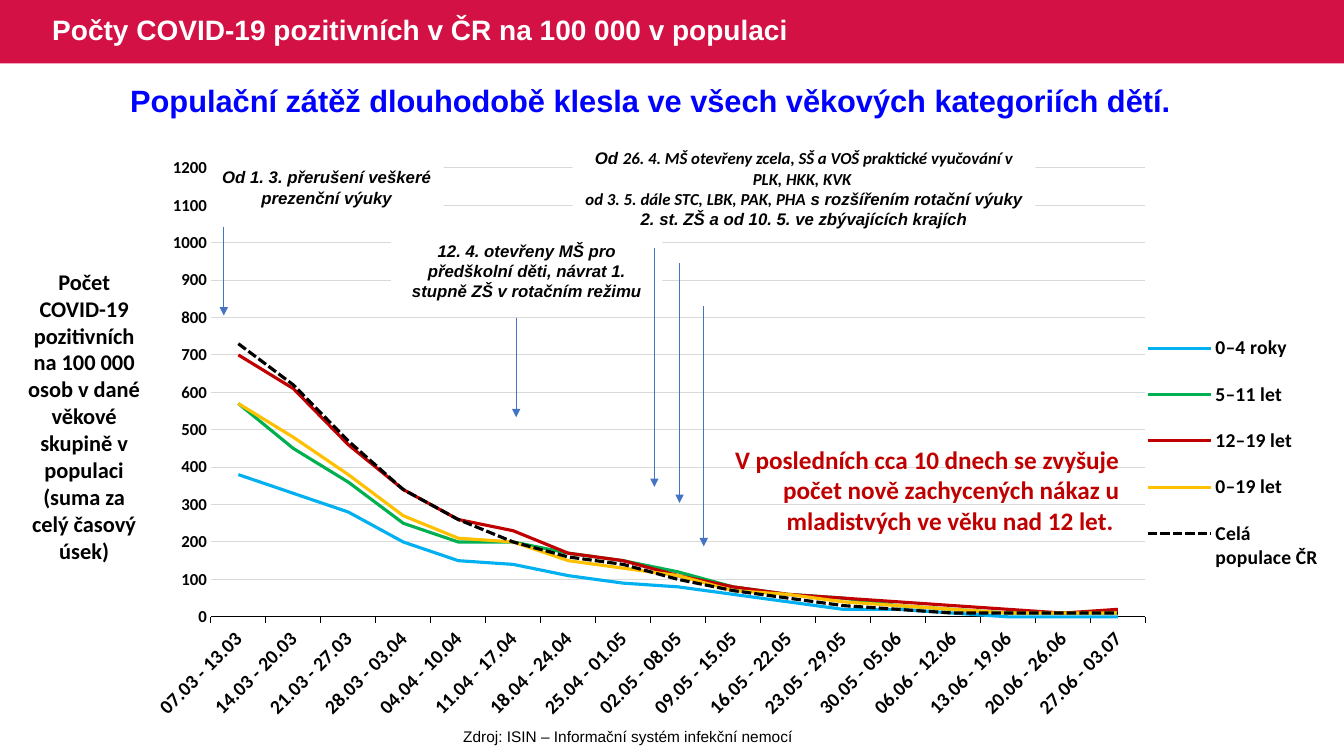
from dataclasses import dataclass

from lxml.etree import SubElement
from pptx import Presentation
from pptx.chart.data import CategoryChartData
from pptx.dml.color import RGBColor
from pptx.enum.chart import XL_CHART_TYPE, XL_LEGEND_POSITION, XL_TICK_MARK
from pptx.enum.dml import MSO_LINE
from pptx.enum.shapes import MSO_CONNECTOR, MSO_SHAPE
from pptx.enum.text import MSO_ANCHOR, PP_ALIGN
from pptx.oxml import parse_xml
from pptx.oxml.ns import nsdecls, qn
from pptx.util import Inches, Pt


@dataclass(frozen=True)
class Theme:
    heading_font: str = "Arial"
    chart_font: str = "Calibri"
    band: str = "D31145"
    white: str = "FFFFFF"
    black: str = "000000"
    blue: str = "0000FF"
    red: str = "C00000"
    arrow: str = "4472C4"
    grid: str = "D9D9D9"
    title_size: int = 20
    headline_size: int = 22
    callout_size: int = 18
    axis_title_size: int = 16
    chart_size: int = 14
    note_size: int = 12
    source_size: int = 11


theme = Theme()


def style_font(font, name, size, color, bold=True, italic=False):
    font.name, font.size = name, Pt(size)
    font.bold, font.italic = bold, italic
    font.color.rgb = RGBColor.from_string(color)


def add_label(box, text, name, size, color, bold=True, fill=None,
              align=PP_ALIGN.CENTER, italic=False):
    """Add a text box, or a filled rectangle with text if fill is given."""
    position = [Inches(value) for value in box]
    if fill:
        shape = slide.shapes.add_shape(MSO_SHAPE.RECTANGLE, *position)
        shape.shadow.inherit = False
        shape.fill.solid()
        shape.fill.fore_color.rgb = RGBColor.from_string(fill)
        shape.line.fill.background()
    else:
        shape = slide.shapes.add_textbox(*position)
    text_frame = shape.text_frame
    text_frame.word_wrap = True
    text_frame.vertical_anchor = MSO_ANCHOR.TOP
    text_frame.text = text
    paragraph = text_frame.paragraphs[0]
    paragraph.alignment = align
    for run in paragraph.runs:
        style_font(run.font, name, size, color, bold, italic)
    return shape


presentation = Presentation()
presentation.slide_width, presentation.slide_height = Inches(13.33), Inches(7.5)
slide = presentation.slides.add_slide(presentation.slide_layouts[6])

# Title band
add_label((0, 0, 13.33, 0.63), "", theme.heading_font, theme.title_size,
          theme.white, fill=theme.band)
title = add_label((0.42, 0, 8.37, 0.63),
                  "Počty COVID-19 pozitivních v ČR na 100 000 v populaci",
                  theme.heading_font, theme.title_size, theme.white,
                  align=PP_ALIGN.LEFT)
title.text_frame.vertical_anchor = MSO_ANCHOR.MIDDLE
title.text_frame.paragraphs[0].line_spacing = 0.9

# Source
add_label((2.36, 7.16, 7.74, 0.29), "Zdroj: ISIN – Informační systém infekční nemocí",
          theme.heading_font, theme.source_size, theme.black, bold=False)

# Chart data
weeks = [
    "07.03 - 13.03", "14.03 - 20.03", "21.03 - 27.03", "28.03 - 03.04",
    "04.04 - 10.04", "11.04 - 17.04", "18.04 - 24.04", "25.04 - 01.05",
    "02.05 - 08.05", "09.05 - 15.05", "16.05 - 22.05", "23.05 - 29.05",
    "30.05 - 05.06", "06.06 - 12.06", "13.06 - 19.06", "20.06 - 26.06",
    "27.06 - 03.07",
]
age_groups = [
    ("0–4 roky", "00B0F0",
     [380, 330, 280, 200, 150, 140, 110, 90, 80, 60, 40, 20, 20, 10, 0, 0, 0]),
    ("5–11 let", "00B050",
     [570, 450, 360, 250, 200, 200, 170, 150, 120, 80, 60, 50, 30, 20, 10, 10, 10]),
    ("12–19 let", theme.red,
     [700, 610, 460, 340, 260, 230, 170, 150, 110, 80, 60, 50, 40, 30, 20, 10, 20]),
    ("0–19 let", "FFC000",
     [570, 480, 380, 270, 210, 200, 150, 130, 110, 70, 60, 40, 30, 20, 10, 10, 10]),
    ("Celá populace ČR", theme.black,
     [730, 620, 470, 340, 260, 200, 160, 140, 100, 70, 50, 30, 20, 10, 10, 10, 10]),
]
chart_data = CategoryChartData()
chart_data.categories = weeks
for name, _, values in age_groups:
    chart_data.add_series(name, values)

# Line chart
chart = slide.shapes.add_chart(XL_CHART_TYPE.LINE, Inches(1.52), Inches(1.53),
                               Inches(11.66), Inches(5.87), chart_data).chart
chart.has_title = False
style_font(chart.font, theme.chart_font, theme.chart_size, theme.black)
plot = chart.plots[0]
plot.vary_by_categories = False
for series, (_, color, _) in zip(plot.series, age_groups):
    series.smooth = False
    series.format.line.color.rgb = RGBColor.from_string(color)
    series.format.line.width = Pt(2.25)
plot.series[-1].format.line.dash_style = MSO_LINE.SQUARE_DOT

# Axes
category_axis, value_axis = chart.category_axis, chart.value_axis
category_axis.major_tick_mark = XL_TICK_MARK.OUTSIDE
category_axis.format.line.color.rgb = RGBColor.from_string(theme.black)
category_axis.format.line.width = Pt(0.75)
value_axis.minimum_scale, value_axis.maximum_scale = 0, 1200
value_axis.major_unit = 100
value_axis.major_tick_mark = XL_TICK_MARK.NONE
value_axis.format.line.fill.background()
gridline = value_axis.major_gridlines.format.line
gridline.color.rgb = RGBColor.from_string(theme.grid)
gridline.width = Pt(0.75)
for axis, size in ((category_axis, theme.chart_size), (value_axis, theme.note_size)):
    style_font(axis.tick_labels.font, theme.chart_font, size, theme.black)
chart.element.xpath(".//c:catAx/c:txPr/a:bodyPr")[0].set("rot", "-2700000")

# Legend, with fixed places for it and for the plot area
chart.has_legend = True
chart.legend.position = XL_LEGEND_POSITION.RIGHT
chart.legend.include_in_layout = False
style_font(chart.legend.font, theme.chart_font, theme.chart_size, theme.black)
for part, target, bounds in (
    ("plotArea", '<c:layoutTarget val="inner"/>', (0.049, 0.023, 0.795, 0.759)),
    ("legend", "", (0.85, 0.27, 0.15, 0.47)),
):
    parent = chart.element.xpath(f".//c:{part}")[0]
    for old_layout in parent.findall(qn("c:layout")):
        parent.remove(old_layout)
    x, y, width, height = bounds
    layout = parse_xml(
        f'<c:layout {nsdecls("c")}><c:manualLayout>{target}'
        '<c:xMode val="edge"/><c:yMode val="edge"/>'
        f'<c:x val="{x}"/><c:y val="{y}"/><c:w val="{width}"/><c:h val="{height}"/>'
        "</c:manualLayout></c:layout>")
    parent.insert(0 if part == "plotArea" else 1, layout)

# Axis title and headline
add_label((0.15, 2.61, 1.37, 3.06),
          "Počet COVID-19 pozitivních na 100 000 osob v dané věkové skupině "
          "v populaci (suma za celý časový úsek)",
          theme.chart_font, theme.axis_title_size, theme.black)
add_label((0.29, 0.76, 12.41, 0.47),
          "Populační zátěž dlouhodobě klesla ve všech věkových kategoriích dětí. ",
          theme.heading_font, theme.headline_size, theme.blue)

# Notes on school measures
notes = [
    ((2.08, 1.61, 2.32, 0.5), "Od 1. 3. přerušení veškeré prezenční výuky"),
    ((3.88, 2.34, 2.69, 0.71),
     "12. 4. otevřeny MŠ pro předškolní děti, návrat 1. stupně ZŠ v rotačním režimu"),
    ((5.68, 1.42, 4.59, 0.91), "Od "),
]
for box, text in notes:
    note = add_label(box, text, theme.heading_font, theme.note_size, theme.black,
                     fill=theme.white, italic=True)

# The last note mixes two fonts
paragraph = note.text_frame.paragraphs[0]
for text, font_name in (
    ("26. 4. MŠ otevřeny zcela, SŠ a VOŠ praktické vyučování v PLK, HKK, KVK ",
     theme.chart_font),
    ("od 3. 5. dále STC, LBK, PAK, PHA", theme.chart_font),
    (" s rozšířením rotační výuky 2. st. ZŠ a od 10. 5. ve zbývajících krajích",
     theme.heading_font),
):
    if text.startswith("od 3. 5."):
        paragraph.add_line_break()
    run = paragraph.add_run()
    run.text = text
    style_font(run.font, font_name, theme.note_size, theme.black, italic=True)

# Arrows from the notes to the weeks
for x, top, bottom in ((2.22, 2.25, 3.13), (5.12, 3.15, 4.14), (6.49, 2.46, 4.83),
                       (6.74, 2.61, 4.99), (6.98, 3.04, 5.42)):
    arrow = slide.shapes.add_connector(MSO_CONNECTOR.STRAIGHT, Inches(x), Inches(top),
                                       Inches(x), Inches(bottom))
    arrow.line.color.rgb = RGBColor.from_string(theme.arrow)
    arrow.line.width = Pt(0.5)
    SubElement(arrow.line._get_or_add_ln(), qn("a:tailEnd"), type="triangle")
    SubElement(arrow.element.spPr, qn("a:effectLst"))

# Callout
add_label((6.98, 4.36, 4.22, 1.31),
          "V posledních cca 10 dnech se zvyšuje počet nově zachycených nákaz "
          "u mladistvých ve věku nad 12 let. ",
          theme.chart_font, theme.callout_size, theme.red, align=PP_ALIGN.RIGHT)

presentation.save("out.pptx")
